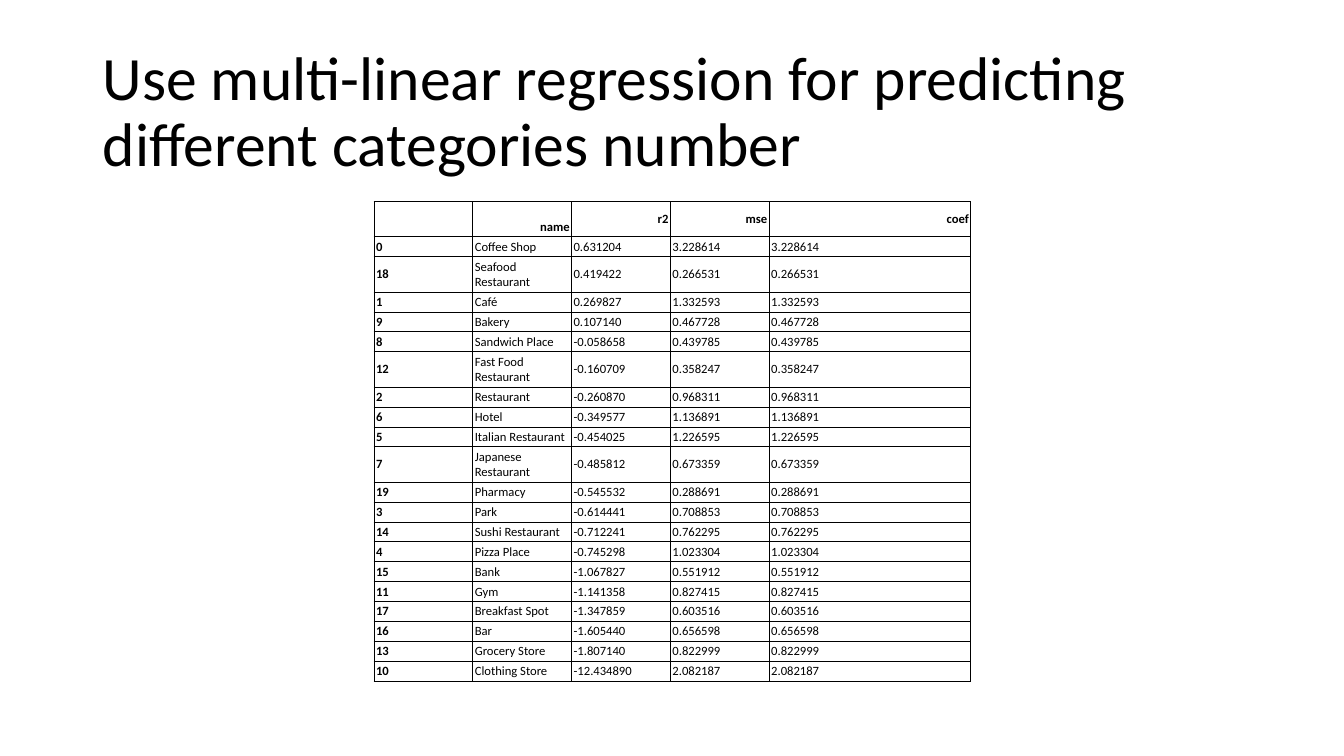
from lxml.etree import SubElement
from pptx import Presentation
from pptx.dml.color import RGBColor as RGB
from pptx.enum.text import MSO_ANCHOR as ANCHOR, MSO_AUTO_SIZE as AUTO, PP_ALIGN as ALIGN
from pptx.oxml.ns import qn
from pptx.util import Inches, Pt

COLORS = {"ink": "000000", "paper": "FFFFFF"}
HEADER = ["", "name", "r2", "mse", "coef"]
RESULTS = [
    ("0", "Coffee Shop", "0.631204", "3.228614"),
    ("18", "Seafood Restaurant", "0.419422", "0.266531"),
    ("1", "Café", "0.269827", "1.332593"),
    ("9", "Bakery", "0.107140", "0.467728"),
    ("8", "Sandwich Place", "-0.058658", "0.439785"),
    ("12", "Fast Food Restaurant", "-0.160709", "0.358247"),
    ("2", "Restaurant", "-0.260870", "0.968311"),
    ("6", "Hotel", "-0.349577", "1.136891"),
    ("5", "Italian Restaurant", "-0.454025", "1.226595"),
    ("7", "Japanese Restaurant", "-0.485812", "0.673359"),
    ("19", "Pharmacy", "-0.545532", "0.288691"),
    ("3", "Park", "-0.614441", "0.708853"),
    ("14", "Sushi Restaurant", "-0.712241", "0.762295"),
    ("4", "Pizza Place", "-0.745298", "1.023304"),
    ("15", "Bank", "-1.067827", "0.551912"),
    ("11", "Gym", "-1.141358", "0.827415"),
    ("17", "Breakfast Spot", "-1.347859", "0.603516"),
    ("16", "Bar", "-1.605440", "0.656598"),
    ("13", "Grocery Store", "-1.807140", "0.822999"),
    ("10", "Clothing Store", "-12.434890", "2.082187"),
]
COL_WIDTHS = [0.98, 0.98, 0.98, 0.98, 2]
TABLE_HEIGHT, TALL_ROW = 4.76, 0.35
TALL_ROWS = {0, 2, 6, 10}


def put_text(tf, text, size=9, bold=False, align=ALIGN.LEFT, spacing=None, font="Calibri"):
    """Write one formatted run into the first paragraph of a text frame."""
    p = tf.paragraphs[0]
    p.alignment = align
    p.line_spacing = spacing
    r = p.add_run()
    r.text = text
    r.font.size, r.font.bold, r.font.name = Pt(size), bold, font
    r.font.color.rgb = RGB.from_string(COLORS["ink"])


class Deck:
    """Hold the slide style and the slide being built."""

    def __init__(self, prs, margin=0.02, border=0.75):
        """Add a title-only slide and keep the table style."""
        self.s = prs.slides.add_slide(prs.slide_layouts[5])
        self.margin, self.border = Inches(margin), Pt(border)

    def title(self, text, left, top, width, height):
        """Place and fill the title placeholder."""
        sp = self.s.shapes.title
        sp.left, sp.top, sp.width, sp.height = map(Inches, (left, top, width, height))
        tf = sp.text_frame
        tf.word_wrap, tf.auto_size, tf.vertical_anchor = True, AUTO.NONE, ANCHOR.MIDDLE
        put_text(tf, text, size=44, spacing=0.9)

    def cell(self, cell, text, anchor=ANCHOR.MIDDLE, **fmt):
        """Fill, frame and write one table cell."""
        cell.margin_left = cell.margin_right = self.margin
        cell.margin_top = cell.margin_bottom = self.margin
        cell.vertical_anchor = anchor
        cell.fill.solid()
        cell.fill.fore_color.rgb = RGB.from_string(COLORS["paper"])
        tc_pr = cell._tc.get_or_add_tcPr()
        for i, side in enumerate(("lnL", "lnR", "lnT", "lnB")):
            ln = SubElement(tc_pr, qn(f"a:{side}"), w=str(self.border))
            fill = SubElement(ln, qn("a:solidFill"))
            SubElement(fill, qn("a:srgbClr"), val=COLORS["ink"])
            tc_pr.insert(i, ln)
        if text:
            put_text(cell.text_frame, text, **fmt)

    def table(self, rows, left, top, widths, heights):
        """Add a table with a bold header row and a bold first column."""
        frame = self.s.shapes.add_table(len(rows), len(widths), Inches(left), Inches(top),
                                        Inches(sum(widths)), Inches(sum(heights)))
        tbl = frame.table
        tbl.first_row = tbl.horz_banding = False
        for col, width in zip(tbl.columns, widths):
            col.width = Inches(width)
        for i, (row, height) in enumerate(zip(rows, heights)):
            tbl.rows[i].height = Inches(height)
            for j, text in enumerate(row):
                self.cell(tbl.cell(i, j), text,
                          anchor=ANCHOR.BOTTOM if text == "name" else ANCHOR.MIDDLE,
                          bold=i == 0 or j == 0,
                          align=ALIGN.RIGHT if i == 0 else ALIGN.LEFT)


def main():
    """Build the regression slide and save it."""
    prs = Presentation()
    prs.slide_width, prs.slide_height = Inches(13.33), Inches(7.5)
    deck = Deck(prs)
    deck.title("Use multi-linear regression for predicting different categories number",
               0.92, 0.4, 11.5, 1.45)
    rows = [HEADER] + [[*result, result[-1]] for result in RESULTS]
    low_row = (TABLE_HEIGHT - TALL_ROW * len(TALL_ROWS)) / (len(rows) - len(TALL_ROWS))
    heights = [TALL_ROW if i in TALL_ROWS else low_row for i in range(len(rows))]
    deck.table(rows, 3.71, 2, COL_WIDTHS, heights)
    prs.save("out.pptx")


if __name__ == "__main__":
    main()
